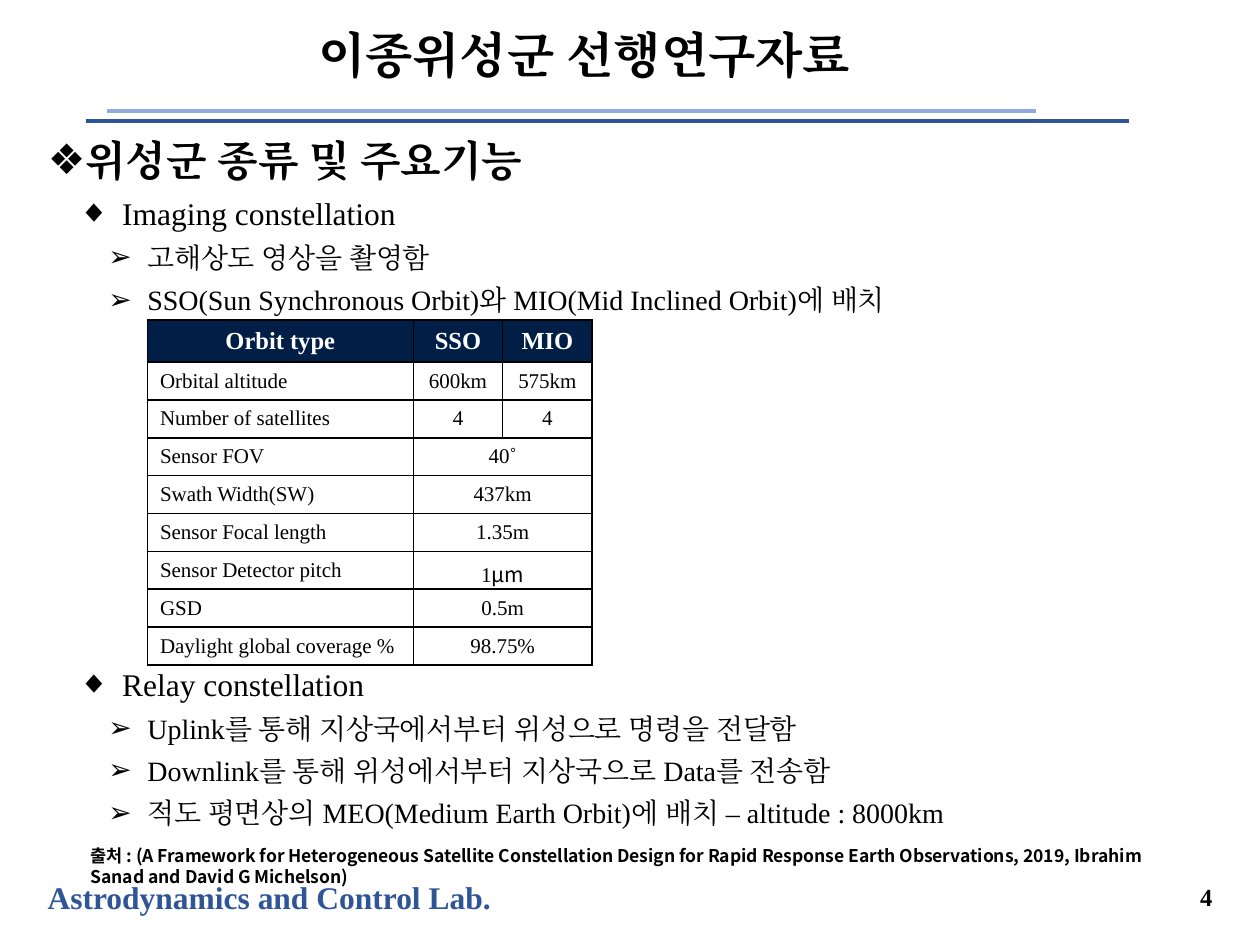
from dataclasses import dataclass

from lxml import etree
from pptx import Presentation
from pptx import util as u
from pptx.dml.color import RGBColor
from pptx.enum import shapes, text
from pptx.oxml import ns

ALIGN = text.PP_ALIGN
MIDDLE = text.MSO_ANCHOR.MIDDLE


@dataclass(frozen=True)
class Theme:
    serif: str = "Times New Roman"
    sans: str = "Noto Sans CJK KR"
    ink: str = "000000"
    paper: str = "FFFFFF"
    accent: str = "2F5597"
    accent_light: str = "8FAADC"
    header: str = "001E46"
    title: int = 28
    heading: int = 24
    topic: int = 18
    detail: int = 16
    label: int = 14
    cell: int = 12
    source: int = 10


LEVELS = (
    ("❖", 0.25, -0.39, Theme.heading, 10),
    ("◆", 0.59, -0.35, Theme.topic, 5),
    ("➢", 0.79, -0.31, Theme.detail, 5),
)

OUTLINE = (
    (0, "위성군 종류 및 주요기능", 0),
    (1, "Imaging constellation", None),
    (2, "고해상도 영상을 촬영함", None),
    (2, "SSO(Sun Synchronous Orbit)와 MIO(Mid Inclined Orbit)에 배치", None),
    (1, "Relay constellation", 199),
    (2, "Uplink를 통해 지상국에서부터 위성으로 명령을 전달함", None),
    (2, "Downlink를 통해 위성에서부터 지상국으로 Data를 전송함", None),
    (2, "적도 평면상의 MEO(Medium Earth Orbit)에 배치 – altitude : 8000km", None),
)

ORBITS = (
    ("Orbit type", "SSO", "MIO"),
    ("Orbital altitude", "600km", "575km"),
    ("Number of satellites", "4", "4"),
    ("Sensor FOV", "40˚"),
    ("Swath Width(SW)", "437km"),
    ("Sensor Focal length", "1.35m"),
    ("Sensor Detector pitch", "1", "μm"),
    ("GSD", "0.5m"),
    ("Daylight global coverage %", "98.75%"),
)
SPLIT_ROWS = 3


def sub(parent, tag, **attributes):
    return etree.SubElement(parent, ns.qn(tag), attributes)


class SlideBuilder:
    def __init__(self, slide, theme):
        self.slide = slide
        self.theme = theme

    def style(self, paragraph, size, color=None, bold=False, face=None):
        face = face or self.theme.serif
        for run in paragraph.runs:
            font = run.font
            font.name, font.size, font.bold = face, u.Pt(size), bold
            font.color.rgb = RGBColor.from_string(color or self.theme.ink)
            font._element.find(ns.qn("a:latin")).addnext(
                etree.Element(ns.qn("a:ea"), typeface=face))

    def place(self, shape, box):
        shape.left, shape.top, shape.width, shape.height = map(u.Inches, box)

    def title(self, words, box):
        heading = self.slide.shapes.title
        self.place(heading, box)
        frame = heading.text_frame
        frame.text = words
        frame.auto_size = text.MSO_AUTO_SIZE.NONE
        frame.vertical_anchor = MIDDLE
        line = frame.paragraphs[0]
        line.alignment = ALIGN.CENTER
        line.line_spacing = 0.9
        self.style(line, self.theme.title, bold=True)

    def outline(self, entries, box):
        body = self.slide.placeholders[1]
        self.place(body, box)
        frame = body.text_frame
        frame.text = "\n".join(words for _, words, _ in entries)
        frame.auto_size = text.MSO_AUTO_SIZE.NONE
        for line, (level, _, gap) in zip(frame.paragraphs, entries):
            mark, margin, indent, size, usual_gap = LEVELS[level]
            line.level = level
            line.space_before = u.Pt(usual_gap if gap is None else gap)
            properties = line._p.get_or_add_pPr()
            properties.set("marL", str(u.Inches(margin)))
            properties.set("indent", str(u.Inches(indent)))
            sub(properties, "a:buChar", char=mark)
            self.style(line, size, bold=level == 0)

    def rule(self, left, right, y, color):
        line = self.slide.shapes.add_connector(
            shapes.MSO_CONNECTOR.STRAIGHT,
            u.Inches(left), u.Inches(y), u.Inches(right), u.Inches(y))
        line.line.color.rgb = RGBColor.from_string(color)
        line.line.width = u.Pt(2.25)
        sub(line._element.spPr, "a:effectLst")

    def label(self, words, box, size, color=None, face=None, align=None,
              anchor=None, wrap=True, margin=0):
        frame = self.slide.shapes.add_textbox(*map(u.Inches, box)).text_frame
        frame.word_wrap = wrap
        frame.vertical_anchor = anchor
        frame.text = words
        line = frame.paragraphs[0]
        line.alignment = align
        if margin:
            line._p.get_or_add_pPr().set("marL", str(u.Inches(margin)))
        self.style(line, size, color, True, face)

    def cell(self, cell, words, align, header):
        theme = self.theme
        properties = cell._tc.get_or_add_tcPr()
        for side in ("a:lnL", "a:lnR", "a:lnT", "a:lnB"):
            border = sub(properties, side, w=str(u.Pt(1)))
            sub(sub(border, "a:solidFill"), "a:srgbClr", val=theme.ink)
        cell.fill.solid()
        cell.fill.fore_color.rgb = RGBColor.from_string(
            theme.header if header else theme.paper)
        cell.vertical_anchor = MIDDLE
        cell.text_frame.text = words
        line = cell.text_frame.paragraphs[0]
        line.alignment = align
        self.style(line, theme.label if header else theme.cell,
                   theme.paper if header else theme.ink, header)

    def table(self, rows, box, widths, heights):
        table = self.slide.shapes.add_table(
            len(rows), len(widths), *map(u.Inches, box)).table
        for column, width in zip(table.columns, widths):
            column.width = u.Inches(width)
        for r, (name, value, *rest) in enumerate(rows):
            table.rows[r].height = u.Inches(heights[0 if r == 0 else 1])
            split = r < SPLIT_ROWS
            values = (name, value, rest[0] if split else "")
            for c, words in enumerate(values):
                align = ALIGN.JUSTIFY if r and c == 0 else ALIGN.CENTER
                self.cell(table.cell(r, c), words, align, r == 0)
            if not split:
                table.cell(r, 1).merge(table.cell(r, 2))
                for unit in rest:
                    run = table.cell(r, 1).text_frame.paragraphs[0].add_run()
                    run.text = unit
                    run.font.name = self.theme.sans
                    run.font.size = u.Pt(self.theme.cell)
                    run.font.color.rgb = RGBColor.from_string(self.theme.ink)


def main():
    deck = Presentation()
    deck.slide_width, deck.slide_height = u.Inches(10), u.Inches(7.5)
    theme = Theme()
    page = SlideBuilder(deck.slides.add_slide(deck.slide_layouts[1]), theme)
    page.label("Astrodynamics and Control Lab.", (0.28, 6.92, 3.76, 0.4),
               theme.topic, theme.accent, wrap=False)
    page.rule(0.68, 8.96, 0.96, theme.accent)
    page.rule(0.85, 8.22, 0.88, theme.accent_light)
    page.label("4", (8.65, 6.92, 1.07, 0.39), theme.label,
               align=ALIGN.RIGHT, anchor=MIDDLE)
    page.title("이종위성군 선행연구자료", (0.97, 0.08, 7.33, 0.75))
    page.outline(OUTLINE, (0.28, 1.02, 9.44, 5.88))
    page.table(ORBITS, (1.17, 2.54, 3.53, 1.92),
               (2.11, 0.71, 0.71), (0.24, 0.21))
    page.label("출처 : (A Framework for Heterogeneous Satellite Constellation "
               "Design for Rapid Response Earth Observations, 2019, "
               "Ibrahim Sanad and David G Michelson)",
               (0.15, 6.66, 9.2, 0.44), theme.source, face=theme.sans,
               margin=0.47)
    deck.save("out.pptx")


if __name__ == "__main__":
    main()
